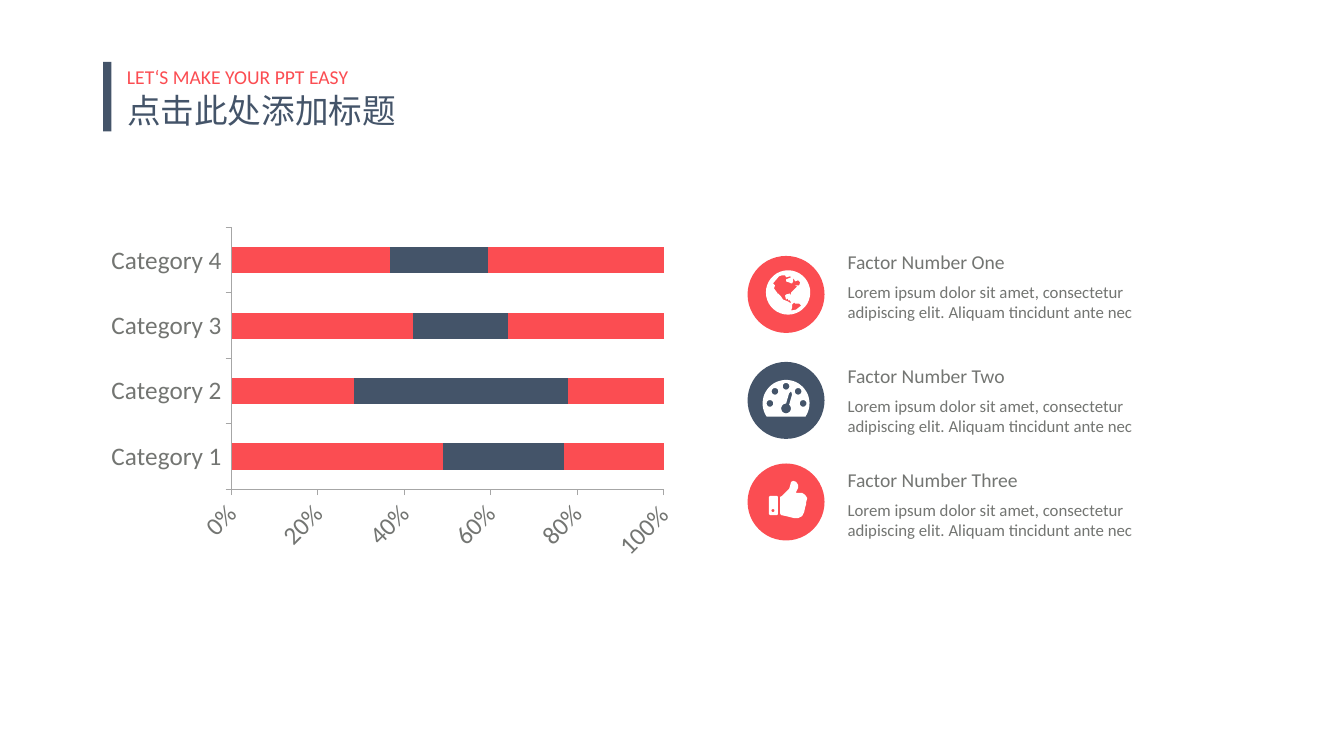
import math
import pptx
import pptx.util
import pptx.chart.data
import pptx.dml.color
import pptx.enum.chart
import pptx.enum.shapes
import pptx.enum.text

Cm = pptx.util.Cm
Pt = pptx.util.Pt
RED, NAVY, GRAY, WHITE, RULE = "FB4D52", "445469", "737572", "FFFFFF", "A6A6A6"
FONT = "Calibri"
TITLE = "点击此处添加标题"
TAG = "LET‘S MAKE YOUR PPT EASY"
LOREM = "Lorem ipsum dolor sit amet, consectetur adipiscing elit. Aliquam tincidunt ante nec"
CATS = ["Category 1", "Category 2", "Category 3", "Category 4"]
SERIES = [
    ("Series 1", [49, 28, 42, 37], RED),
    ("Series 2", [28, 49, 22, 23], NAVY),
    ("Series 3", [23, 22, 36, 41], RED),
]


def ring(x, y, r, start=0, end=350):
    turns = [math.radians(start + (end - start) * i / 35) for i in range(36)]
    return [(x + r * math.cos(t), y + r * math.sin(t)) for t in turns]


NORTH = [(9, -9), (13, -9), (14, -12), (12, -14), (9, -13), (8, -15), (7, -16),
         (7, -13), (6, -11), (5, -11), (3, -12), (0, -13), (0, -15), (5, -17),
         (4, -18), (0, -17), (-1, -19), (-4, -19), (-7, -18), (-13, -11),
         (-11, -9), (-12, -6), (-9, -2), (-7, 2), (-8, -1), (-5, 2), (-3, 5),
         (2, 7), (5, 9), (4, 6), (2, 6), (2, 4), (0, 5), (-1, 1), (0, 0),
         (4, -1), (5, 1), (5, -2), (7, -4), (9, -6), (11, -8)]
SOUTH = [(15, 11), (13, 9), (9, 9), (8, 8), (6, 10), (6, 13), (5, 16), (10, 15)]
CUFF = [(-16, -6), (-9, -6), (-8, -5), (-8, 12), (-9, 13), (-16, 13), (-17, 12), (-17, -5)]
HAND = [(-6, -5), (-4, -6), (0, -10), (3, -13), (4, -16), (5, -20), (7, -21),
        (10, -20), (12, -17), (12, -14), (10, -10), (10, -9), (16, -9), (19, -7),
        (21, -4), (20, 0), (20, 2), (19, 5), (18, 10), (16, 14), (12, 16), (8, 16),
        (0, 14), (-5, 13), (-6, 11)]
DOTS = [(-16, 3), (-11, -9), (0, -14), (12, -9), (17, 3)]
NEEDLE = ring(0, 8, 4.8, -50, 270) + [(3, -7), (5, -9), (6, -6)]
GLOBE = [ring(2, -2, 22), NORTH, SOUTH]
GAUGE = [ring(0, 3, 23.3, 146, 394)] + [ring(x, y, 3.3) for x, y in DOTS] + [NEEDLE]
THUMB = [CUFF, ring(-13, 8.5, 1.5), HAND]
FACTORS = [
    ("Factor Number One", RED, GLOBE, 6.45, 6.17),
    ("Factor Number Two", NAVY, GAUGE, 9.12, 9.04),
    ("Factor Number Three", RED, THUMB, 11.68, 11.66),
]


def tint(code):
    return pptx.dml.color.RGBColor.from_string(code)


def paint(shape, color):
    shape.fill.solid()
    shape.fill.fore_color.rgb = tint(color)
    shape.line.fill.background()
    shape.shadow.inherit = False


def style(font, size, color):
    font.name = FONT
    font.size = Pt(size)
    font.color.rgb = tint(color)


def write(text, left, top, width, height, size=12, color=GRAY, gap=None, box=None):
    if box is None:
        box = slide.shapes.add_textbox(0, 0, 0, 0)
    box.left, box.top, box.width, box.height = Cm(left), Cm(top), Cm(width), Cm(height)
    frame = box.text_frame
    frame.word_wrap = True
    frame.auto_size = pptx.enum.text.MSO_AUTO_SIZE.NONE
    frame.vertical_anchor = pptx.enum.text.MSO_ANCHOR.TOP
    para = frame.paragraphs[0]
    para.alignment = pptx.enum.text.PP_ALIGN.LEFT
    para.line_spacing = gap
    run = para.add_run()
    run.text = text
    style(run.font, size, color)


def block(kind, left, top, width, height, color):
    paint(slide.shapes.add_shape(kind, Cm(left), Cm(top), Cm(width), Cm(height)), color)


def icon(loops, x, y):
    loops = [[(a * 10, b * 10) for a, b in loop] for loop in loops]
    pen = slide.shapes.build_freeform(*loops[0][0], scale=Cm(0.00254))
    pen.add_line_segments(loops[0][1:], close=True)
    for loop in loops[1:]:
        pen.move_to(*loop[0])
        pen.add_line_segments(loop[1:], close=True)
    paint(pen.convert_to_shape(Cm(x), Cm(y)), WHITE)


def graph():
    enum = pptx.enum.chart
    data = pptx.chart.data.CategoryChartData()
    data.categories = CATS
    for name, vals, _ in SERIES:
        data.add_series(name, vals)
    chart = slide.shapes.add_chart(
        enum.XL_CHART_TYPE.BAR_STACKED_100,
        Cm(2.51), Cm(5.56), Cm(14.78), Cm(8.74), data).chart
    chart.has_legend = False
    chart.has_title = False
    style(chart.font, 18, GRAY)
    plot = chart.plots[0]
    plot.gap_width, plot.overlap = 150, 100
    plot.vary_by_categories = False
    for bar, (_, _, color) in zip(plot.series, SERIES):
        bar.format.fill.solid()
        bar.format.fill.fore_color.rgb = tint(color)
    for axis in (chart.category_axis, chart.value_axis):
        axis.has_major_gridlines = False
        axis.major_tick_mark = enum.XL_TICK_MARK.OUTSIDE
        axis.format.line.color.rgb = tint(RULE)
        style(axis.tick_labels.font, 18, GRAY)
    labels = chart.value_axis.tick_labels
    labels.number_format = "0%"
    labels.number_format_is_linked = False
    chart.value_axis._element.txPr.bodyPr.set("rot", "-2700000")


deck = pptx.Presentation()
deck.slide_width, deck.slide_height = Cm(33.87), Cm(19.05)
slide = deck.slides.add_slide(deck.slide_layouts[5])
KIND = pptx.enum.shapes.MSO_SHAPE

graph()
DISC, LEFT, SIDE = 1.94, 18.84, 21.11
for name, color, loops, top, head in FACTORS:
    block(KIND.OVAL, LEFT, top, DISC, DISC, color)
    icon(loops, LEFT + DISC / 2, top + DISC / 2)
    write(name, SIDE, head, 8.81, 0.86, size=14)
    write(LOREM, SIDE, head + 0.8, 8.69, 1.27)
write(TITLE, 2.95, 2.34, 19.48, 1.09, size=24, color=NAVY, gap=0.8, box=slide.shapes.title)
write(TAG, 2.95, 1.5, 12.17, 0.86, size=14, color=RED)
block(KIND.RECTANGLE, 2.6, 1.56, 0.21, 1.75, NAVY)
deck.save("out.pptx")
